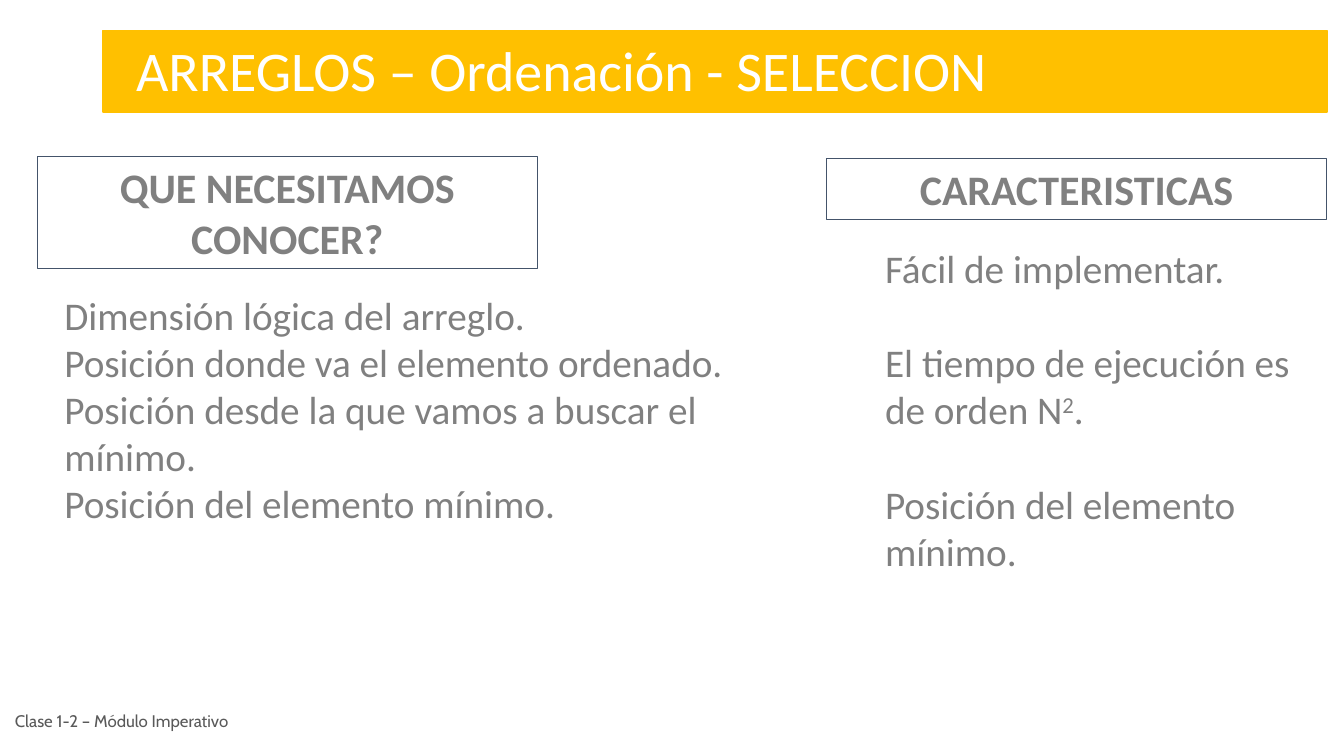
"""Build the slide on selection sort of arrays."""
from pptx import Presentation
from pptx.dml.color import RGBColor
from pptx.enum.shapes import MSO_SHAPE
from pptx.enum.text import MSO_ANCHOR, MSO_AUTO_SIZE, PP_ALIGN
from pptx.util import Inches, Pt

GOLD = RGBColor(0xFF, 0xC0, 0x00)
WHITE = RGBColor(0xFF, 0xFF, 0xFF)
GREY = RGBColor(0x80, 0x80, 0x80)
DARK = RGBColor(0x59, 0x59, 0x59)
SLATE = RGBColor(0x44, 0x54, 0x6A)


def style(frame, size, color, font="Calibri", bold=False, align=PP_ALIGN.LEFT):
    frame.word_wrap = True
    for para in frame.paragraphs:
        para.alignment = align
        for run in para.runs:
            run.font.name = font
            run.font.size = Pt(size)
            run.font.bold = bold
            run.font.color.rgb = color


def add_box(left, top, width, height):
    box = slide.shapes.add_shape(
        MSO_SHAPE.RECTANGLE, Inches(left), Inches(top), Inches(width), Inches(height))
    box.shadow.inherit = False
    return box


deck = Presentation()
deck.slide_width, deck.slide_height = Inches(13.33), Inches(7.5)
slide = deck.slides.add_slide(deck.slide_layouts[5])

foot = slide.shapes.add_textbox(Inches(0.05), Inches(6.86), Inches(3.54), Inches(0.59))
foot.text_frame.text = "Clase 1-2 – Módulo Imperativo"
foot.text_frame.vertical_anchor = MSO_ANCHOR.MIDDLE
style(foot.text_frame, 12, DARK, "Cabin")

band = add_box(1.02, 0.3, 12.14, 0.81)
band.fill.solid()
band.fill.fore_color.rgb = GOLD
band.line.color.rgb = GOLD
band.line.width = Pt(1)

title = slide.shapes.title
title.left, title.top = Inches(1.25), Inches(0.3)
title.width, title.height = Inches(9.33), Inches(0.77)
title.text_frame.text = "ARREGLOS – Ordenación - SELECCION"
title.text_frame.vertical_anchor = MSO_ANCHOR.TOP
title.text_frame.auto_size = MSO_AUTO_SIZE.NONE
style(title.text_frame, 40, WHITE)
band.element.addnext(title.element)

heads = [
    ("QUE NECESITAMOS CONOCER?", 0.37, 1.55, 1.11),
    ("CARACTERISTICAS", 8.2, 1.57, 0.61),
]
for text, left, top, height in heads:
    head = add_box(left, top, 4.96, height)
    head.fill.background()
    head.line.color.rgb = SLATE
    head.line.width = Pt(0.75)
    head.text_frame.text = text
    head.text_frame.auto_size = MSO_AUTO_SIZE.SHAPE_TO_FIT_TEXT
    style(head.text_frame, 30, GREY, bold=True, align=PP_ALIGN.CENTER)

needs = [
    "Dimensión lógica del arreglo.",
    "Posición donde va el elemento ordenado.",
    "Posición desde la que vamos a buscar el mínimo.",
    "Posición del elemento mínimo.",
]
traits = [
    "Fácil de implementar.",
    "El tiempo de ejecución es de orden N",
    "Posición del elemento mínimo.",
]
lists = [
    (needs, 0.54, 2.84, 6.77, 2.46, 0),
    (traits, 8.68, 2.37, 4.28, 3.4, 34),
]
for lines, left, top, width, height, gap in lists:
    body = slide.shapes.add_textbox(
        Inches(left), Inches(top), Inches(width), Inches(height))
    frame = body.text_frame
    frame.text = "\n".join(lines)
    for para in frame.paragraphs[1:]:
        para.space_before = Pt(gap)
    if lines is traits:
        order = frame.paragraphs[1]
        power, stop = order.add_run(), order.add_run()
        power.text, stop.text = "2", "."
        power.font._element.set("baseline", "30000")
    frame.auto_size = MSO_AUTO_SIZE.SHAPE_TO_FIT_TEXT
    style(frame, 28, GREY)

deck.save("out.pptx")
